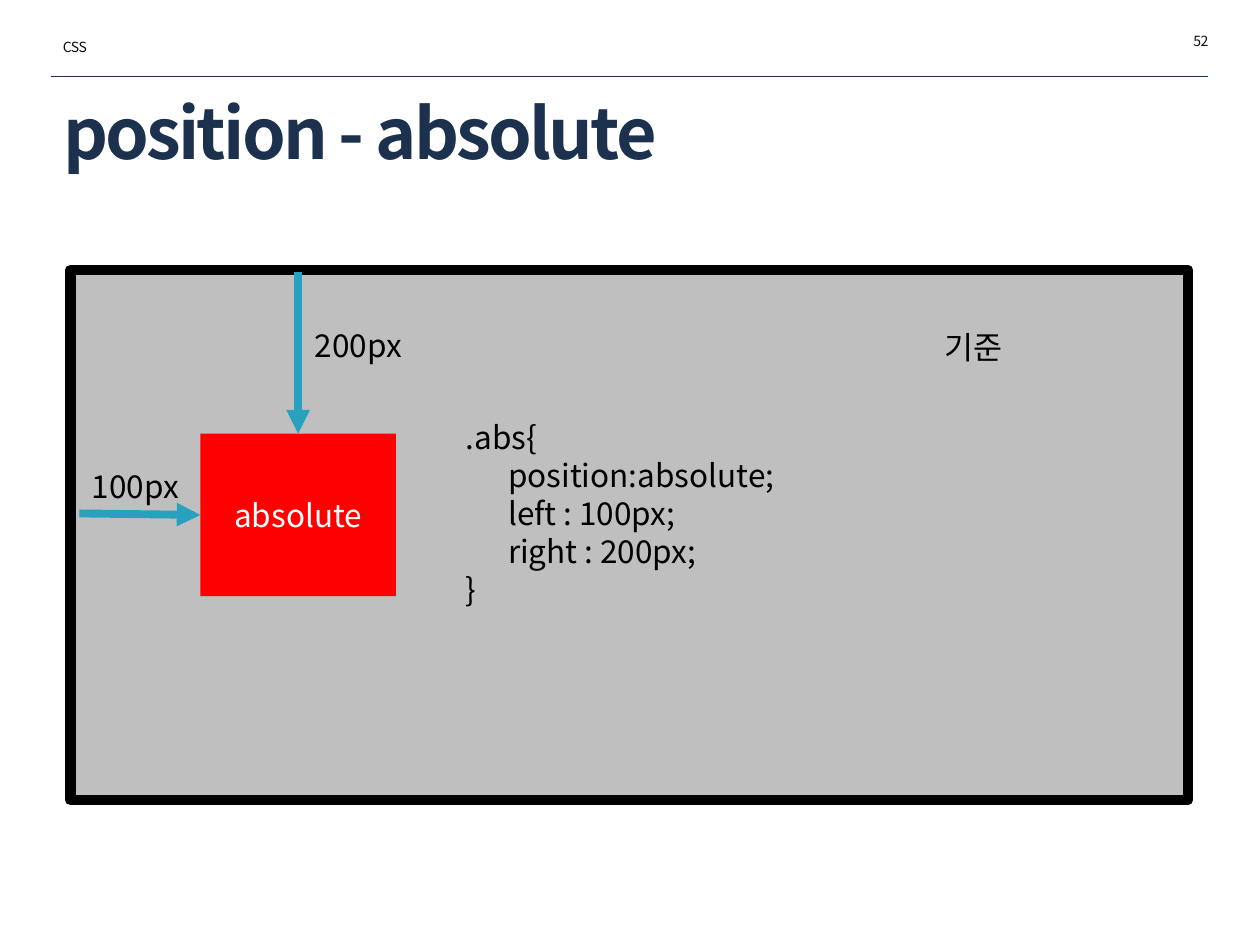
from lxml import etree
from pptx import Presentation
from pptx.dml.color import RGBColor
from pptx.enum.shapes import MSO_CONNECTOR, MSO_SHAPE
from pptx.enum.text import MSO_ANCHOR, MSO_AUTO_SIZE, PP_ALIGN
from pptx.oxml.ns import qn
from pptx.util import Cm, Pt

RECT = MSO_SHAPE.RECTANGLE
LINE = MSO_CONNECTOR.STRAIGHT
LEFT, MID, RIGHT = PP_ALIGN.LEFT, PP_ALIGN.CENTER, PP_ALIGN.RIGHT
FONT = "Noto Sans CJK KR"
HUES = {"navy": "1C314E", "ink": "0D0D0D", "black": "000000", "white": "FFFFFF",
        "grey": "BFBFBF", "red": "FF0000", "teal": "28A1BE"}
CODE = [".abs{", "      position:absolute;", "      left : 100px;",
        "      right : 200px;", "}"]


def hue(name):
    """Return the named colour."""
    return RGBColor.from_string(HUES[name])


def write(frame, lines, size=18, color="black", align=LEFT, bold=False, space=0):
    """Fill a text frame with one styled run per line."""
    frame.word_wrap = True
    for i, line in enumerate(lines):
        para = frame.add_paragraph() if i else frame.paragraphs[0]
        para.alignment = align
        run = para.add_run()
        run.text = line
        font = run.font
        font.name, font.size, font.bold = FONT, Pt(size), bold
        font.color.rgb = hue(color)
        props = run._r.get_or_add_rPr()
        props.set("spc", str(space))
        face = etree.Element(qn("a:ea"), typeface=FONT)
        props.find(qn("a:latin")).addnext(face)


def label(slide, box, lines, **style):
    """Add a text box."""
    area = slide.shapes.add_textbox(*map(Cm, box))
    write(area.text_frame, lines, **style)


def block(slide, box, fill):
    """Add a filled rectangle without outline or shadow."""
    shape = slide.shapes.add_shape(RECT, *map(Cm, box))
    shape.shadow.inherit = False
    shape.fill.solid()
    shape.fill.fore_color.rgb = hue(fill)
    shape.line.fill.background()
    return shape


def rule(slide, ends, color, width, head=False):
    """Add a straight line, with an arrowhead if asked."""
    line = slide.shapes.add_connector(LINE, *map(Cm, ends))
    line.line.color.rgb = hue(color)
    line.line.width = Pt(width)
    props = line._element.spPr
    etree.SubElement(props, qn("a:effectLst"))
    if head:
        etree.SubElement(props.find(qn("a:ln")), qn("a:tailEnd"), type="triangle")


def header(slide, x, y, w):
    """Place the topic, page number, rule and title."""
    rule(slide, (x, y + 1, x + w, y + 1), "navy", 0.25)
    small = {"size": 8, "color": "ink", "space": -30}
    label(slide, (x + 19.2, y, 4.39, 0.61), ["52"], align=RIGHT, **small)
    label(slide, (x, y + 0.13, 4.39, 0.61), ["CSS"], **small)
    title = slide.shapes.title
    title.left, title.top = Cm(x), Cm(y + 1.3)
    title.width, title.height = Cm(23.24), Cm(1.63)
    frame = title.text_frame
    frame.auto_size = MSO_AUTO_SIZE.NONE
    frame.vertical_anchor = MSO_ANCHOR.MIDDLE
    write(frame, ["position - absolute"], 40, "navy", bold=True, space=-150)


def diagram(slide, x, y, w, h):
    """Place the reference frame with the offset box, arrows and code."""
    base = block(slide, (x, y, w, h), "grey")
    base.line.color.rgb = hue("black")
    base.line.width = Pt(6)
    left, top, wide, high = x + 2.62, y + 3.3, 3.94, 3.28
    item = block(slide, (left, top, wide, high), "red")
    item.text_frame.vertical_anchor = MSO_ANCHOR.MIDDLE
    write(item.text_frame, ["absolute"], color="white", align=MID)
    mid, row = left + wide / 2, top + high / 2
    rule(slide, (mid, y + 0.05, mid, top), "teal", 4.5, True)
    rule(slide, (x + 0.18, row - 0.03, left, row), "teal", 4.5, True)
    label(slide, (x + 17.38, y + 1.04, 3.4, 1.02), ["기준"])
    label(slide, (x + 4.68, y + 1.01, 4.01, 1.02), ["200px"])
    label(slide, (x + 0.18, y + 3.86, 2.44, 1.02), ["100px"])
    label(slide, (x + 7.72, y + 2.87, 7.09, 4.11), CODE)


def main():
    """Build and save the slide."""
    deck = Presentation()
    deck.slide_width, deck.slide_height = Cm(25.4), Cm(19.05)
    slide = deck.slides.add_slide(deck.slide_layouts[5])
    header(slide, 1.02, 0.53, 23.34)
    diagram(slide, 1.42, 5.44, 22.53, 10.69)
    deck.save("out.pptx")


if __name__ == "__main__":
    main()
